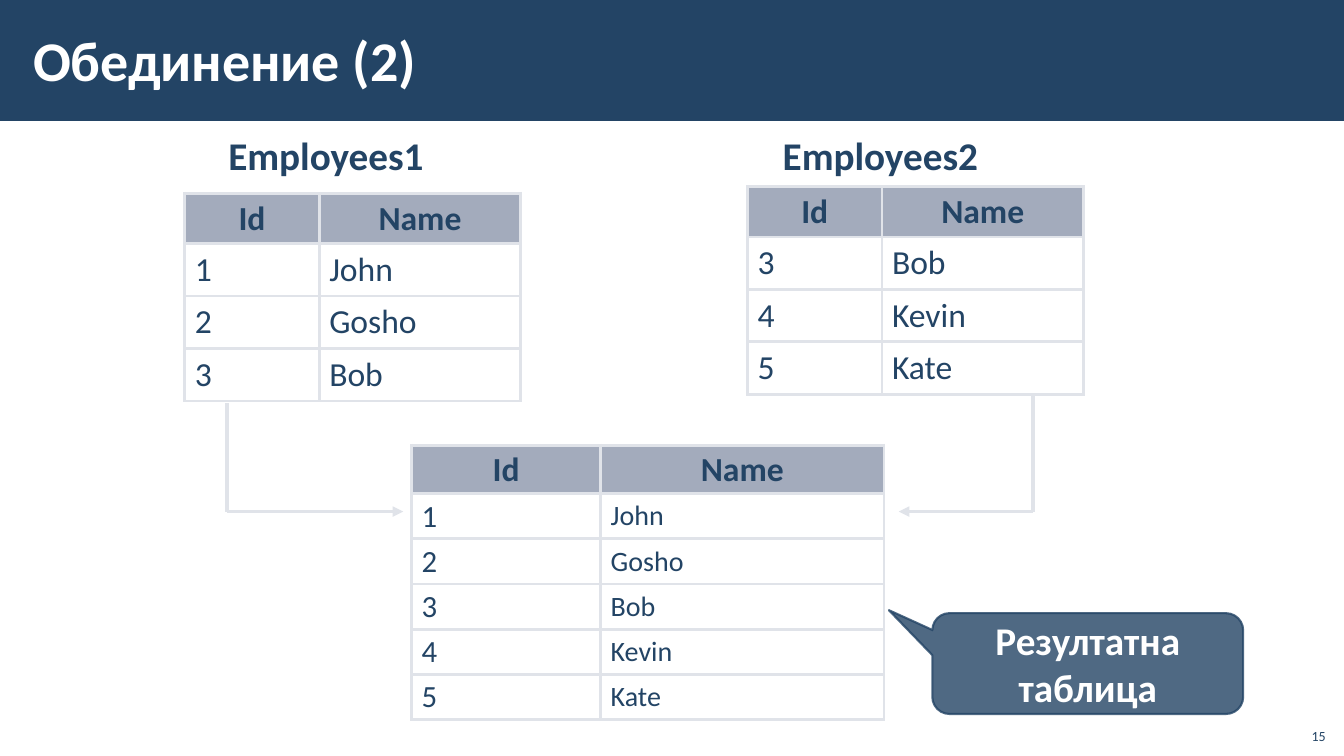
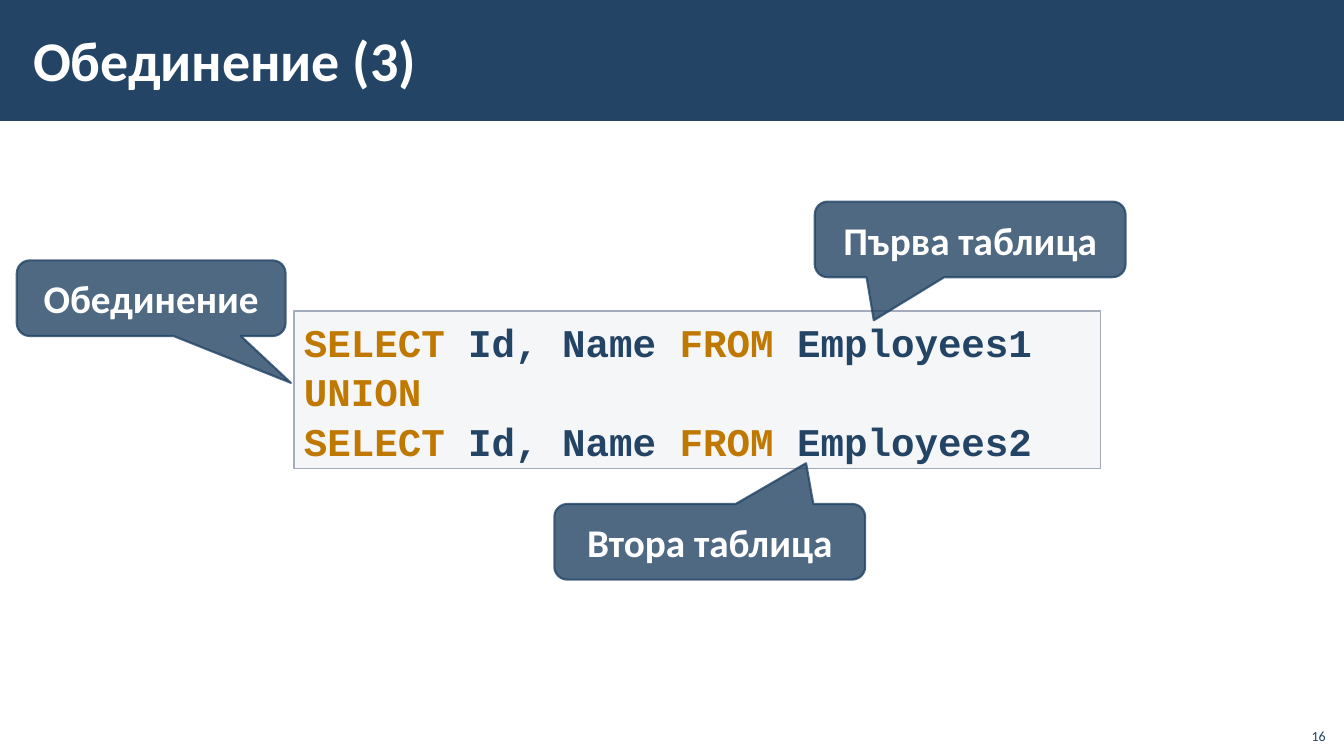
from lxml.etree import SubElement
from pptx import Presentation
from pptx.dml.color import RGBColor
from pptx.enum.shapes import MSO_CONNECTOR as Line, MSO_SHAPE as Shape
from pptx.enum.text import MSO_ANCHOR as Anchor, PP_ALIGN as Align
from pptx.oxml import parse_xml
from pptx.oxml.ns import nsdecls, qn
from pptx.util import Emu, Inches, Pt

NAVY = RGBColor(0x23, 0x44, 0x65)
SLATE = RGBColor(0xA3, 0xAB, 0xBC)
MIST = RGBColor(0xC2, 0xC7, 0xD2)
RULE = RGBColor(0xE0, 0xE3, 0xE9)
AMBER = RGBColor(0xBF, 0x78, 0x00)
WHITE = RGBColor(0xFF, 0xFF, 0xFF)

COLS, ROWS = 160, 90
CELL = Inches(1) // 12
KEYWORDS = {"SELECT", "FROM", "UNION"}

BODY = dict(name="Calibri", size=Pt(24), bold=False, color=NAVY)
HEAD = BODY | dict(bold=True)
LABEL = HEAD | dict(size=Pt(28))
CALLOUT = LABEL | dict(color=WHITE)
TITLE = CALLOUT | dict(size=Pt(40))
NUMBER = BODY | dict(size=Pt(10))
CODE = LABEL | dict(name="Courier New")


def grid(*units):
    """Turn grid columns or rows into lengths."""
    return [Emu(round(u * CELL)) for u in units]


def set_alpha(fill, percent):
    """Make a solid fill partly transparent."""
    color = fill._xPr.find(qn("a:solidFill"))[0]
    SubElement(color, qn("a:alpha"), val=str(percent * 1000))


class Deck:
    def __init__(self):
        self.prs = Presentation()
        self.prs.slide_width, self.prs.slide_height = grid(COLS, ROWS)
        self.s = None

    def slide(self, title, number):
        self.s = self.prs.slides.add_slide(self.prs.slide_layouts[6])
        self.shape(Shape.RECTANGLE, (0, 0, COLS, 14.4), NAVY)
        self.text((2.5, 1.3, 134.8, 11.5), title, TITLE, anchor=Anchor.MIDDLE,
                  margin_left=Inches(0.12), margin_top=Inches(0.04),
                  margin_bottom=Inches(0.04))
        self.text((154.2, 85.4, 4.8, 3.8), str(number), NUMBER, Align.RIGHT,
                  anchor=Anchor.BOTTOM)

    def add_run(self, p, text, style):
        r = p.add_run()
        r.text = text
        for key, value in style.items():
            if key == "color":
                r.font.color.rgb = value
            else:
                setattr(r.font, key, value)

    def fill_text(self, tf, text, style, align=Align.LEFT, spacing=None):
        p = tf.paragraphs[0]
        p.alignment, p.line_spacing = align, spacing
        self.add_run(p, text, style)

    def text(self, box, text, style, align=Align.LEFT,
             anchor=Anchor.TOP, **margins):
        tf = self.s.shapes.add_textbox(*grid(*box)).text_frame
        frame = dict(word_wrap=True, vertical_anchor=anchor) | margins
        for key, value in frame.items():
            setattr(tf, key, value)
        self.fill_text(tf, text, style, align)

    def shape(self, kind, box, fill, alpha=100, line=None, width=1):
        sp = self.s.shapes.add_shape(kind, *grid(*box))
        sp.shadow.inherit = False
        sp.fill.solid()
        sp.fill.fore_color.rgb = fill
        if alpha < 100:
            set_alpha(sp.fill, alpha)
        if line is None:
            sp.line.fill.background()
        else:
            sp.line.color.rgb = line
            sp.line.width = Pt(width)
        return sp

    def callout(self, box, text, tip):
        """Draw a speech bubble; tip is its point as shares of its size."""
        sp = self.shape(Shape.ROUNDED_RECTANGULAR_CALLOUT, box, NAVY, 80, NAVY, 1.5)
        set_alpha(sp.line.fill, 80)
        for i, share in enumerate((*tip, 0.17)):
            sp.adjustments[i] = share
        sp.text_frame.word_wrap = True
        sp.text_frame.vertical_anchor = Anchor.MIDDLE
        self.fill_text(sp.text_frame, text, CALLOUT, Align.CENTER)

    def code(self, box, lines):
        sp = self.shape(Shape.RECTANGLE, box, MIST, 15, SLATE)
        tf = sp.text_frame
        tf.word_wrap, tf.vertical_anchor = True, Anchor.TOP
        for i, line in enumerate(lines):
            p = tf.add_paragraph() if i else tf.paragraphs[0]
            p.alignment, p.line_spacing = Align.LEFT, 1.05
            for j, word in enumerate(line.split()):
                color = AMBER if word in KEYWORDS else NAVY
                self.add_run(p, f" {word}" if j else word,
                             CODE | dict(color=color))

    def line(self, start, end, arrow=False):
        c = self.s.shapes.add_connector(Line.STRAIGHT, *grid(*start, *end))
        c.line.color.rgb = RULE
        c.line.width = Pt(2.5)
        if arrow:
            SubElement(c.line._get_or_add_ln(), qn("a:tailEnd"), type="triangle")
        SubElement(c._element.spPr, qn("a:effectLst"))

    def elbow(self, start, end):
        """Go down from start, then sideways to an arrowhead at end."""
        corner = start[0], end[1]
        self.line(start, corner)
        self.line(corner, end, arrow=True)

    def table(self, at, widths, heights, people, sizes=(24, 24), spacing=None):
        rows = [("Id", "Name"), *people]
        tbl = self.s.shapes.add_table(
            len(rows), 2, *grid(*at, sum(widths), sum(heights))).table
        tbl.first_row = tbl.horz_banding = False
        for col, width in zip(tbl.columns, grid(*widths)):
            col.width = width
        for row, height in zip(tbl.rows, grid(*heights)):
            row.height = height
        for i, values in enumerate(rows):
            for j, value in enumerate(values):
                cell = tbl.cell(i, j)
                cell.vertical_anchor = Anchor.MIDDLE
                if i == 0:
                    cell.fill.solid()
                    cell.fill.fore_color.rgb = SLATE
                    self.fill_text(cell.text_frame, value, HEAD, Align.CENTER, 0.95)
                else:
                    cell.fill.background()
                    style = BODY | dict(size=Pt(sizes[j]))
                    self.fill_text(cell.text_frame, value, style, spacing=spacing)
                self.borders(cell)

    def borders(self, cell):
        tc_pr = cell._tc.get_or_add_tcPr()
        for i, side in enumerate("LRTB"):
            tc_pr.insert(i, parse_xml(
                f'<a:ln{side} {nsdecls("a")} w="{Pt(2.21)}"><a:solidFill>'
                f'<a:srgbClr val="{RULE}"/></a:solidFill></a:ln{side}>'))


def main():
    deck = Deck()
    people = [("1", "John"), ("2", "Gosho"), ("3", "Bob"),
              ("4", "Kevin"), ("5", "Kate")]

    deck.slide("Обединение (2)", 15)
    sources = [("Employees1", 26, (22, 23), people[:3]),
               ("Employees2", 92, (89, 22.2), people[2:])]
    for name, label_col, at, members in sources:
        deck.text((label_col, 15, 30, 6.7), name, LABEL)
        deck.table(at, (16, 24), (6, *[6.25] * 3), members)
    deck.elbow((27, 48), (48, 60.9))
    deck.elbow((123, 47), (107, 60.9))
    deck.table((49, 53), (22.5, 33.75), [4.45] * 6, people, (22, 20), 0.95)
    deck.callout((111, 73, 37, 12), "Резултатна таблица", (-0.64, -0.53))

    deck.slide("Обединение (3)", 16)
    deck.code((35, 37, 96, 18.8), ["SELECT Id, Name FROM Employees1",
                                   "UNION",
                                   "SELECT Id, Name FROM Employees2"])
    deck.callout((97, 24, 37, 9), "Първа таблица", (-0.31, 1.07))
    deck.callout((66, 60, 37, 9), "Втора таблица", (0.31, -1.04))
    deck.callout((2, 31, 32, 9), "Обединение", (0.52, 1.12))

    deck.prs.save("out.pptx")


if __name__ == "__main__":
    main()
